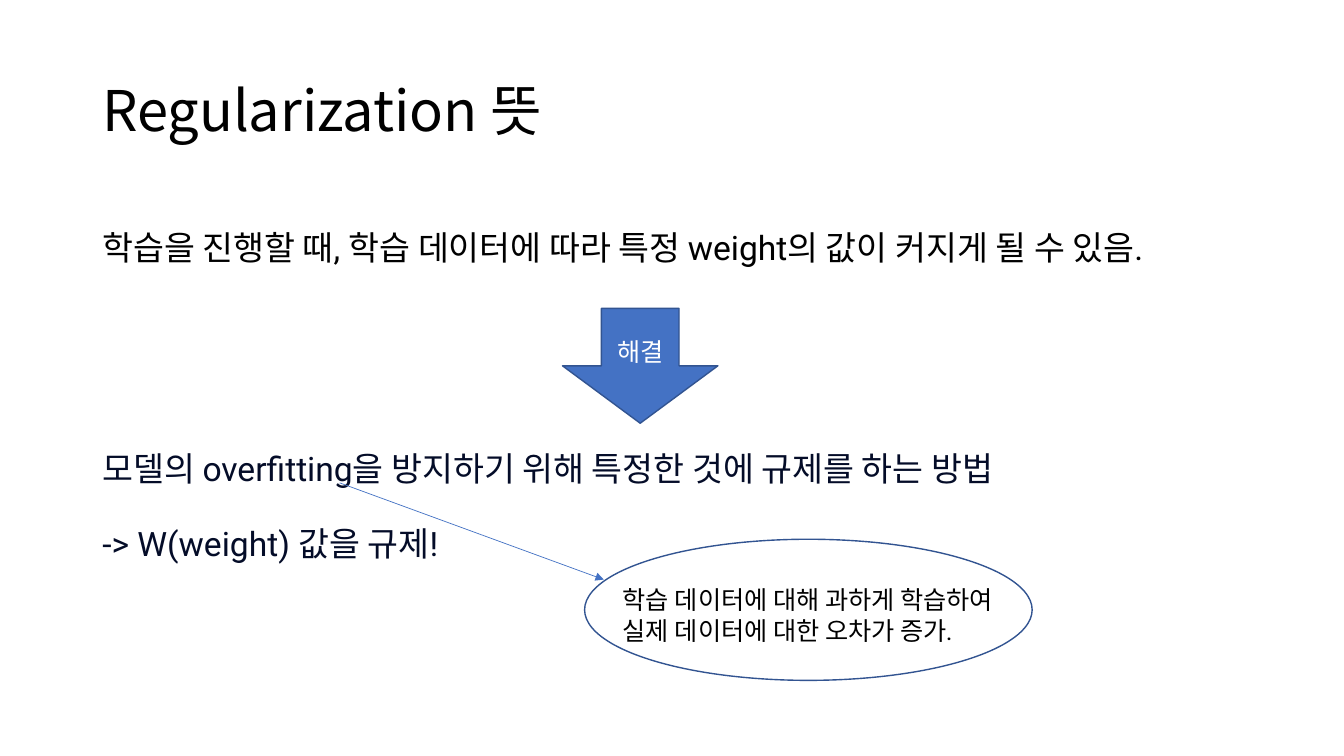
from pptx import Presentation
from pptx.dml import color
from pptx.enum import shapes, text
from pptx.oxml import ns
from pptx.util import Pt
from lxml import etree

KOREAN_FONT = "Noto Sans CJK KR"
BLUE = "4472C4"
DARK_BLUE = "325491"
BLACK = "000000"
NAVY = "040C28"


def rgb(value):
    return color.RGBColor.from_string(value)


def format_para(para, font, size, ink):
    for span in para.runs:
        span.font.name = font
        span.font.size = Pt(size)
        span.font.color.rgb = rgb(ink)
        east_asian = etree.SubElement(span.font._element, ns.qn("a:ea"))
        east_asian.set("typeface", KOREAN_FONT)


def add_text(page, bounds, lines, font, size, inks, anchor=text.MSO_ANCHOR.TOP):
    box = page.shapes.add_textbox(*map(Pt, bounds))
    frame = box.text_frame
    frame.word_wrap = True
    frame.vertical_anchor = anchor
    frame.text = "\n".join(lines)
    for para, ink in zip(frame.paragraphs, inks):
        format_para(para, font, size, ink)
    return frame.paragraphs


def add_outlined(page, kind, bounds, fill=None):
    shape = page.shapes.add_shape(kind, *map(Pt, bounds))
    shape.shadow.inherit = False
    if fill:
        shape.fill.solid()
        shape.fill.fore_color.rgb = rgb(fill)
    else:
        shape.fill.background()
    shape.line.color.rgb = rgb(DARK_BLUE)
    shape.line.width = Pt(1)
    return shape


def add_arrow(page, start, end):
    arrow = page.shapes.add_connector(
        shapes.MSO_CONNECTOR.STRAIGHT, *map(Pt, start + end))
    arrow.line.color.rgb = rgb(BLUE)
    arrow.line.width = Pt(0.5)
    head = etree.SubElement(arrow.line._get_or_add_ln(), ns.qn("a:tailEnd"))
    head.set("type", "triangle")
    etree.SubElement(arrow._element.spPr, ns.qn("a:effectLst"))


def add_body(page):
    lines = [
        "학습을 진행할 때, 학습 데이터에 따라 특정 weight의 값이 커지게 될 수 있음.",
        "모델의 overfitting을 방지하기 위해 특정한 것에 규제를 하는 방법",
        "-> W(weight) 값을 규제!",
    ]
    paras = add_text(page, (66, 144, 828, 342.6), lines, "Roboto", 24,
                     [BLACK, NAVY, NAVY])
    for para, gap in zip(paras, [10, 115, 10]):
        para.line_spacing = 1.5
        para.space_before = Pt(gap)


def add_solution_arrow(page):
    arrow = add_outlined(page, shapes.MSO_SHAPE.DOWN_ARROW,
                         (401.8, 220.3, 111, 82), BLUE)
    frame = arrow.text_frame
    frame.text = "해결"
    frame.vertical_anchor = text.MSO_ANCHOR.MIDDLE
    para = frame.paragraphs[0]
    para.alignment = text.PP_ALIGN.CENTER
    format_para(para, KOREAN_FONT, 18, "FFFFFF")


def main():
    deck = Presentation()
    deck.slide_width, deck.slide_height = Pt(960), Pt(540)
    page = deck.slides.add_slide(deck.slide_layouts[6])

    title = add_text(page, (66, 28.8, 828, 104.4), ["Regularization 뜻"],
                     KOREAN_FONT, 40, [BLACK], text.MSO_ANCHOR.MIDDLE)
    title[0].line_spacing = 0.9
    add_body(page)
    add_solution_arrow(page)
    add_text(page, (437.8, 414, 319.7, 51),
             ["학습 데이터에 대해 과하게 학습하여", "실제 데이터에 대한 오차가 증가."],
             "Karla", 18, [BLACK, BLACK])
    add_arrow(page, (242.6, 344.9), (431.3, 414))
    add_outlined(page, shapes.MSO_SHAPE.OVAL, (417.6, 385.2, 319.7, 100.8))

    deck.save("out.pptx")


if __name__ == "__main__":
    main()
